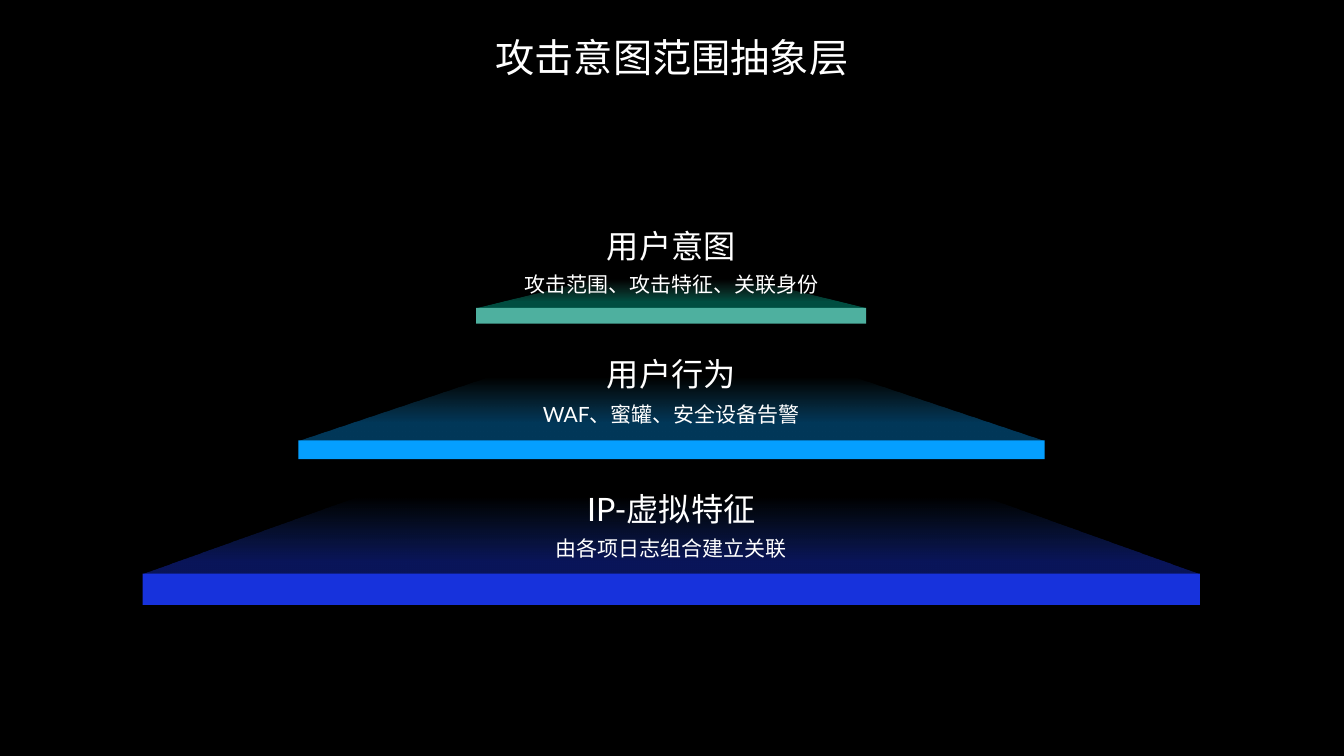
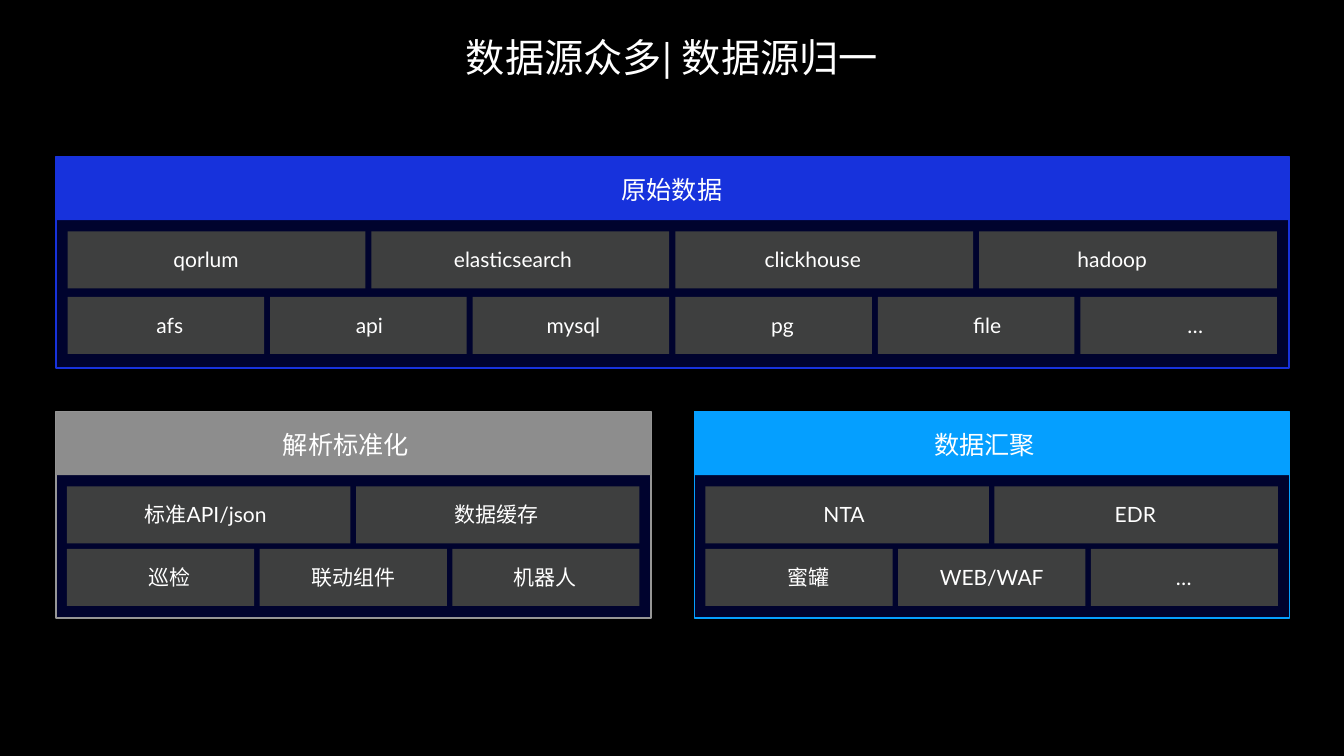
from lxml import etree
from pptx import Presentation
from pptx.dml.color import RGBColor
from pptx.enum.shapes import MSO_SHAPE
from pptx.enum.text import MSO_ANCHOR, MSO_AUTO_SIZE, PP_ALIGN
from pptx.oxml.ns import qn
from pptx.util import Inches, Pt

RECT = MSO_SHAPE.RECTANGLE
MIDDLE = MSO_ANCHOR.MIDDLE
CENTER = PP_ALIGN.CENTER
FIXED = MSO_AUTO_SIZE.NONE
FONT = "Lato"
HEX = {
    "back": "000000", "text": "FFFFFF", "cell": "3E3F3F", "panel": "01064D",
    "green": "4EB09F", "sky": "059FFF", "blue": "1732DC",
    "gray": "8D8D8D", "edge": "969696",
    "mint": "00E0BA", "sea": "5AC6B0", "azure": "35B7FF",
    "royal": "1D3CFF", "haze": "296CF5",
}
RGB = {name: RGBColor.from_string(code) for name, code in HEX.items()}


def add_rect(slide, box, fill):
    rect = slide.shapes.add_shape(RECT, *map(Inches, box))
    rect.shadow.inherit = False
    rect.fill.solid()
    rect.fill.fore_color.rgb = RGB[fill]
    rect.line.fill.background()
    return rect


def set_text(shape, text, size, inset=0.02, spacing=None):
    frame = shape.text_frame
    frame.text = text
    frame.word_wrap = True
    frame.auto_size = FIXED
    frame.vertical_anchor = MIDDLE
    frame.margin_left = frame.margin_right = Inches(inset)
    frame.margin_top = frame.margin_bottom = Inches(inset)
    para = frame.paragraphs[0]
    para.alignment = CENTER
    para.line_spacing = spacing
    font = para.runs[0].font
    font.name, font.size = FONT, Pt(size)
    font.color.rgb = RGB["text"]


prs = Presentation()
prs.slide_width, prs.slide_height = Inches(26.67), Inches(15)
back = prs.slide_master.background.fill
back.solid()
back.fore_color.rgb = RGB["back"]

slides = []
for text in ("攻击意图范围抽象层", "数据源众多| 数据源归一"):
    slide = prs.slides.add_slide(prs.slide_layouts[5])
    title = slide.shapes.title
    title.left, title.top = Inches(7.78), Inches(0.55)
    title.width, title.height = Inches(11.11), Inches(1.14)
    set_text(title, text, 56, inset=0.1)
    slides.append(slide)
pyramid, sources = slides

# Pyramid tiers: bar box and colour, height and slant of the glow above it,
# its near and far colours with the near position, then two texts with tops
tiers = [
    ((9.45, 6.11, 7.74, 0.31), "green", 0.56, 2.36, "mint", "sea", 0.22,
     "用户意图", 4.45, "攻击范围、攻击特征、关联身份", 5.24),
    ((5.92, 8.74, 14.81, 0.37), "sky", 1.24, 3.78, "sky", "azure", 0.28,
     "用户行为", 6.99, "WAF、蜜罐、安全设备告警", 7.81),
    ((2.83, 11.38, 20.98, 0.62), "blue", 1.5, 4.26, "royal", "haze", 0.16,
     "IP-虚拟特征", 9.66, "由各项日志组合建立关联", 10.47),
]
for bar, fill, rise, slant, near, far, start, head, head_y, note, note_y in tiers:
    add_rect(pyramid, bar, fill)
    left, base, width, _ = bar
    right = left + width
    pen = pyramid.shapes.build_freeform(Inches(left), Inches(base))
    pen.add_line_segments([
        (Inches(left + slant), Inches(base - rise)),
        (Inches(right - slant), Inches(base - rise)),
        (Inches(right), Inches(base)),
    ])
    glow = pen.convert_to_shape()
    glow.shadow.inherit = False
    glow.line.fill.background()
    glow.fill.gradient()
    glow.fill.gradient_angle = 90
    stops = zip(glow.fill.gradient_stops, (near, far), (start, 1))
    for stop, tint, place in stops:
        stop.color.rgb = RGB[tint]
        stop.position = place
    tints = glow._element.spPr.iter(qn("a:srgbClr"))
    for tint, alpha in zip(list(tints), ("35000", "0")):
        etree.SubElement(tint, qn("a:alpha"), val=alpha)

    for text, top, high, size, gap in ((head, head_y, 0.86, 46, None),
                                       (note, note_y, 0.7, 30, 1.2)):
        box = pyramid.shapes.add_textbox(
            Inches(10.32), Inches(top), Inches(6), Inches(high))
        set_text(box, text, size, spacing=gap)

# Label centres, measured from the left edge of the panel
wide = [(2.98, 9.07, 15.02, 20.96), (2.26, 6.22, 10.27, 14.42, 18.48, 22.61)]
half = [(2.97, 8.75), (2.26, 5.9, 9.71)]

# Panels: left, top, width, height, header and edge colours, header text and
# its centre, cell inset, cell gap, row pitch, label centres, rows of cells
panels = [
    (1.11, 3.11, 24.47, 4.19, "blue", "blue", "原始数据", 12.23,
     0.23, 0.12, 1.3, wide,
     [("qorlum", "elasticsearch", "clickhouse", "hadoop"),
      ("afs", "api", "mysql", "pg", "file", "…")]),
    (13.78, 8.17, 11.81, 4.09, "sky", "sky", "数据汇聚", 5.76,
     0.22, 0.11, 1.24, half,
     [("NTA", "EDR"), ("蜜罐", "WEB/WAF", "…")]),
    (1.11, 8.17, 11.81, 4.09, "gray", "edge", "解析标准化", 5.76,
     0.22, 0.11, 1.24, half,
     [("标准API/json", "数据缓存"), ("巡检", "联动组件", "机器人")]),
]
for (left, top, width, height, fill, edge, head, mid,
     inset, gap, pitch, centres, rows) in panels:
    panel = add_rect(sources, (left, top, width, height), "panel")
    tint = next(panel._element.spPr.iter(qn("a:srgbClr")))
    etree.SubElement(tint, qn("a:alpha"), val="60000")
    panel.line.color.rgb = RGB[edge]
    panel.line.width = Pt(2)
    add_rect(sources, (left, top, width, 1.26), fill)
    box = sources.shapes.add_textbox(
        Inches(left + mid - 2.84), Inches(top + 0.22), Inches(5.67), Inches(0.84))
    set_text(box, head, 36)

    for i, (row, spots) in enumerate(zip(rows, centres)):
        y = top + 1.48 + i * pitch
        # The right margin is a little wider than the left one
        room = width - 2 * inset - 0.01
        cell = (room - gap * (len(row) - 1)) / len(row)
        for j, (text, spot) in enumerate(zip(row, spots)):
            x = left + inset + j * (cell + gap)
            add_rect(sources, (x, y, cell, 1.13), "cell")
            box = sources.shapes.add_textbox(
                Inches(left + spot - 1.5), Inches(y + 0.32), Inches(3), Inches(0.47))
            set_text(box, text, 30)

prs.save("out.pptx")
